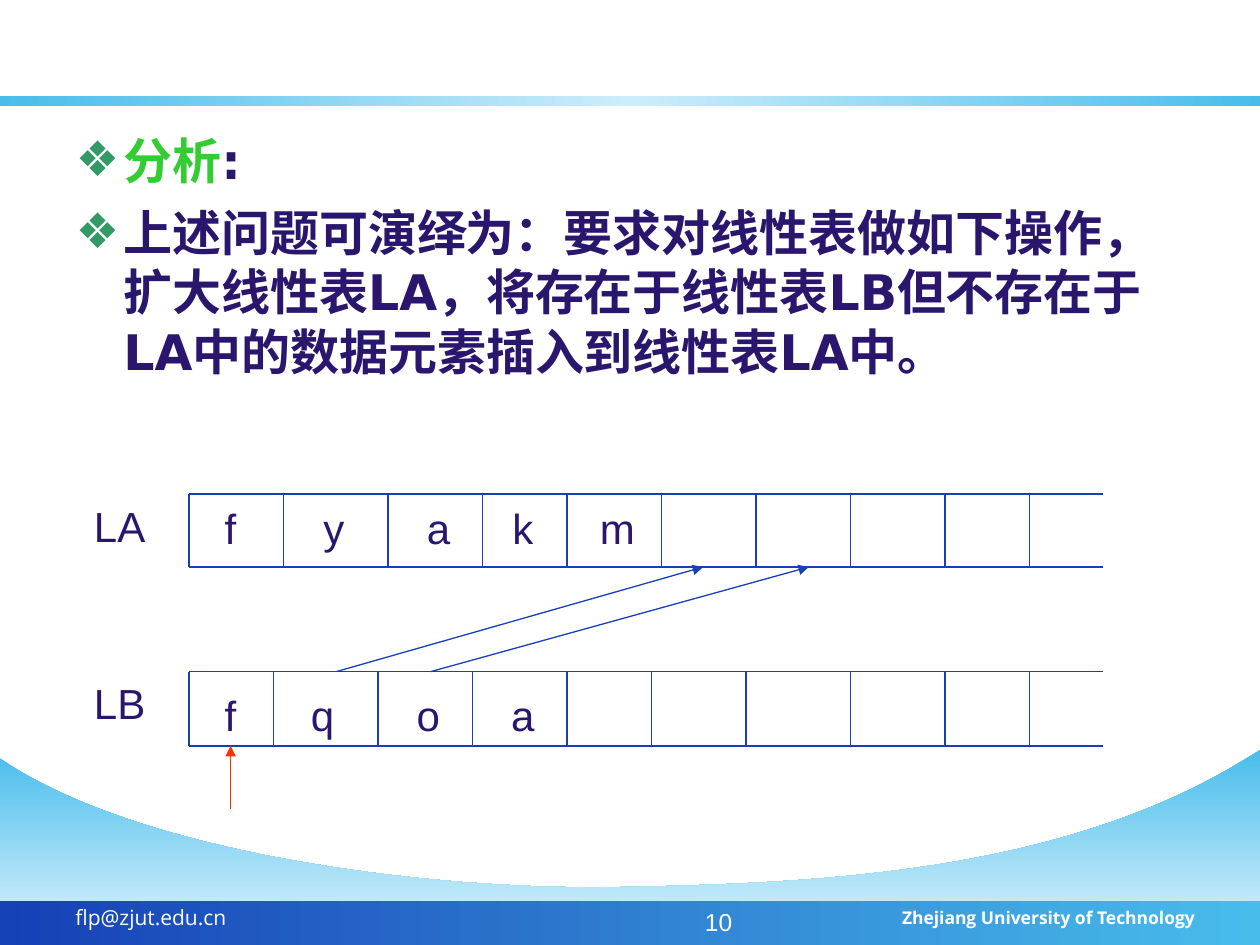
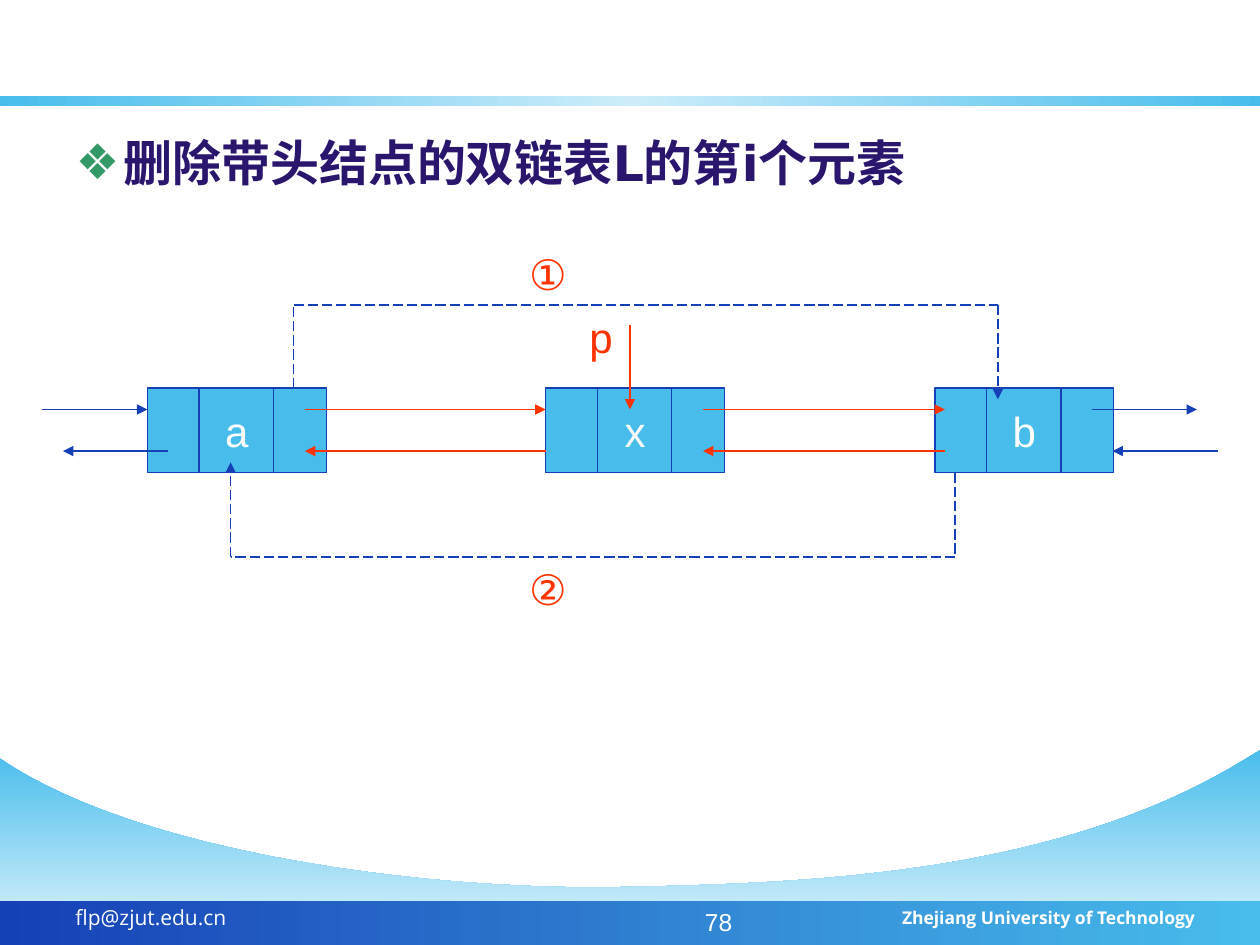
from lxml.etree import SubElement
from pptx import Presentation
from pptx.dml.color import RGBColor
from pptx.enum.dml import MSO_LINE
from pptx.enum.shapes import MSO_CONNECTOR, MSO_SHAPE
from pptx.enum.text import MSO_ANCHOR, MSO_AUTO_SIZE, PP_ALIGN as Align
from pptx.oxml.ns import qn
from pptx.util import Inches, Pt

COLORS = {
    "white": "FFFFFF", "sky": "48BDEC", "pale": "CDEDFA", "mist": "E3F5FC",
    "blue": "1640B6", "ink": "2B166E", "red": "FF3300", "green": "33CC33",
    "bullet": "339966",
}
LABEL_WIDTH, LABEL_HEIGHT = 0.9, 0.5
NODE_WIDTH, NODE_HEIGHT = 1.42, 0.67
NODE_DIVIDERS = (0.41, 1)
NEXT_ROW, PRIOR_ROW = 0.17, 0.5


def rgb(name):
    return RGBColor.from_string(COLORS[name])


def write(para, text, size=24, font="Arial", color="ink", bold=False, align=None):
    span = para.add_run()
    span.text = text
    span.font.size = Pt(size)
    span.font.name = font
    span.font.bold = bold
    span.font.color.rgb = rgb(color)
    if align is not None:
        para.alignment = align


def add_text(page, text, left, top, width, height, wrap=True, **style):
    box = page.shapes.add_textbox(*map(Inches, (left, top, width, height)))
    box.text_frame.word_wrap = wrap
    write(box.text_frame.paragraphs[0], text, **style)


def add_label(page, text, center, top, color="ink"):
    add_text(page, text, center - LABEL_WIDTH / 2, top, LABEL_WIDTH, LABEL_HEIGHT,
             wrap=False, color=color, align=Align.CENTER)


def add_line(page, start, end, color="blue", arrow=False, dashed=False):
    line = page.shapes.add_connector(
        MSO_CONNECTOR.STRAIGHT, *map(Inches, (*start, *end)))
    line.line.color.rgb = rgb(color)
    line.line.width = Pt(0.75)
    if dashed:
        line.line.dash_style = MSO_LINE.LONG_DASH
    properties = line._element.spPr
    if arrow:
        SubElement(properties.find(qn("a:ln")), qn("a:tailEnd"), type="triangle")
    SubElement(properties, qn("a:effectLst"))


def add_dashed_path(page, points):
    """Dashed legs from point to point, with an arrowhead on the last."""
    for index in range(1, len(points)):
        add_line(page, points[index - 1], points[index], dashed=True,
                 arrow=index == len(points) - 1)


def fill_gradient(shape, names, angle=0):
    shape.shadow.inherit = False
    shape.line.fill.background()
    shape.fill.gradient()
    shape.fill.gradient_angle = angle
    stops = shape._element.spPr.find(qn("a:gradFill")).find(qn("a:gsLst"))
    stops.clear()
    for index, name in enumerate(names):
        position = index * 100000 // (len(names) - 1)
        stop = SubElement(stops, qn("a:gs"), pos=str(position))
        SubElement(stop, qn("a:srgbClr"), val=COLORS[name])


def curve_points(start, first, second, end, steps=40):
    """Points on a cubic curve, without its start."""
    for step in range(1, steps + 1):
        t = step / steps
        weights = ((1 - t) ** 3, 3 * t * (1 - t) ** 2, 3 * t * t * (1 - t), t ** 3)
        yield tuple(
            sum(weight * point[axis]
                for weight, point in zip(weights, (start, first, second, end)))
            for axis in (0, 1))


def add_bar(page, top, height, names):
    bar = page.shapes.add_shape(
        MSO_SHAPE.RECTANGLE, 0, Inches(top), Inches(10), Inches(height))
    fill_gradient(bar, names)


def add_frame(page, number):
    # Wave at the foot of the page
    right, middle, left = (10, 5.95), (4.92, 7.04), (0, 6.02)
    outline = [
        right,
        *curve_points(right, (8.49, 6.95), (6.42, 7.01), middle),
        *curve_points(middle, (3.42, 7.07), (1.11, 6.78), left),
        (0, 7.5),
    ]
    builder = page.shapes.build_freeform(Inches(10), Inches(7.49))
    builder.add_line_segments([(Inches(x), Inches(y)) for x, y in outline])
    fill_gradient(builder.convert_to_shape(), ("sky", "mist"), angle=270)

    # Footer bar and header band
    add_bar(page, 7.15, 0.35, ("blue", "sky"))
    add_bar(page, 0.76, 0.08, ("sky", "pale", "sky"))

    # Footer texts
    add_text(page, "flp@zjut.edu.cn", 0.5, 7.13, 2.33, 0.35,
             size=12, font="Open Sans", color="white")
    add_text(page, "Zhejiang University of Technology", 6.5, 7.15, 3.08, 0.35,
             size=10, font="Open Sans", color="white", bold=True, align=Align.RIGHT)
    add_text(page, str(number), 3.58, 7.15, 2.33, 0.35,
             size=14, color="white", align=Align.RIGHT)


def add_bullet(para):
    properties = para._p.get_or_add_pPr()
    properties.set("marL", str(Inches(0.38)))
    properties.set("indent", str(-Inches(0.38)))
    color = SubElement(properties, qn("a:buClr"))
    SubElement(color, qn("a:srgbClr"), val=COLORS["bullet"])
    SubElement(properties, qn("a:buChar"), char="❖")


def fill_body(page, top, paragraphs):
    """Each paragraph is a list of (text, color) spans."""
    body = page.placeholders[1]
    body.left, body.top, body.width, body.height = map(Inches, (0.5, top, 9, 5.74))
    frame = body.text_frame
    frame.auto_size = MSO_AUTO_SIZE.NONE
    frame.word_wrap = True
    for index, spans in enumerate(paragraphs):
        para = frame.add_paragraph() if index else frame.paragraphs[0]
        add_bullet(para)
        para.space_before = Pt(7 if index else 0)
        para.line_spacing = Pt(34)
        for text, color in spans:
            write(para, text, size=28, font="DejaVu Sans", color=color, bold=True)


def add_page(deck, number, body_top, paragraphs):
    page = deck.slides.add_slide(deck.slide_layouts[1])
    title = page.shapes.title._element
    title.getparent().remove(title)
    add_frame(page, number)
    fill_body(page, body_top, paragraphs)
    return page


def draw_list(page, name, top, bottom, edges, items, item_top):
    """A list open on the right; items are (letter, center)."""
    for y in (top, bottom):
        add_line(page, (edges[0], y), (8.75, y))
    for x in edges:
        add_line(page, (x, top), (x, bottom))
    for letter, center in items:
        add_label(page, letter, center, item_top)
    add_label(page, name, 0.95, top)


def draw_node(page, letter, left, top):
    node = page.shapes.add_shape(
        MSO_SHAPE.RECTANGLE, *map(Inches, (left, top, NODE_WIDTH, NODE_HEIGHT)))
    node.shadow.inherit = False
    node.fill.solid()
    node.fill.fore_color.rgb = rgb("sky")
    node.line.color.rgb = rgb("blue")
    node.line.width = Pt(0.75)
    node.text_frame.word_wrap = False
    node.text_frame.vertical_anchor = MSO_ANCHOR.MIDDLE
    write(node.text_frame.paragraphs[0], letter, color="white", align=Align.CENTER)
    for offset in NODE_DIVIDERS:
        x = left + offset
        add_line(page, (x, top), (x, top + NODE_HEIGHT))


def draw_links(page, top, next_span, prior_span, color):
    """A right arrow on the upper row and a left arrow on the lower one."""
    upper, lower = top + NEXT_ROW, top + PRIOR_ROW
    add_line(page, (next_span[0], upper), (next_span[1], upper), color, arrow=True)
    add_line(page, (prior_span[1], lower), (prior_span[0], lower), color, arrow=True)


def build_union_page(deck):
    page = add_page(deck, 10, 0.98, [
        [("分析", "green"), (":", "ink")],
        [("上述问题可演绎为：要求对线性表做如下操作，扩大线性表LA，"
          "将存在于线性表LB但不存在于LA中的数据元素插入到线性表LA中。", "ink")],
    ])
    # The two lists
    draw_list(page, "LA", 3.92, 4.5,
              (1.5, 2.25, 3.08, 3.83, 4.5, 5.25, 6, 6.75, 7.5, 8.17),
              zip("fyakm", (1.83, 2.65, 3.48, 4.15, 4.9)), 3.94)
    draw_list(page, "LB", 5.33, 5.92,
              (1.5, 2.17, 3, 3.75, 4.5, 5.17, 5.92, 6.75, 7.5, 8.17),
              zip("fqoa", (1.83, 2.56, 3.4, 4.15)), 5.42)
    # Current element and copied elements
    add_line(page, (1.83, 6.42), (1.83, 5.92), "red", arrow=True)
    for source, target in ((2.67, 5.58), (3.42, 6.42)):
        add_line(page, (source, 5.33), (target, 4.5), arrow=True)


def build_delete_page(deck):
    page = add_page(deck, 78, 1, [[("删除带头结点的双链表L的第i个元素", "ink")]])
    top = 3.08
    bottom = top + NODE_HEIGHT
    # Nodes
    for letter, left in (("a", 1.17), ("b", 7.42), ("x", 4.33)):
        draw_node(page, letter, left, top)
    # Links between nodes, then links to the rest of the list
    for span in ((2.42, 4.33), (5.58, 7.5)):
        draw_links(page, top, span, span, "red")
    draw_links(page, top, (0.33, 1.17), (0.5, 1.33), "blue")
    draw_links(page, top, (8.67, 9.5), (8.83, 9.67), "blue")
    # Pointer to the deleted node
    add_line(page, (5, 2.58), (5, 3.25), "red", arrow=True)
    add_label(page, "p", 4.77, 2.42, "red")
    # New links around it
    add_dashed_path(page, [(2.33, top), (2.33, 2.42), (7.92, 2.42), (7.92, 3.17)])
    add_dashed_path(page, [(7.58, bottom), (7.58, 4.42), (1.83, 4.42), (1.83, 3.67)])
    add_label(page, "①", 4.35, 1.92, "red")
    add_label(page, "②", 4.35, 4.42, "red")


def main():
    deck = Presentation()
    deck.slide_width, deck.slide_height = Inches(10), Inches(7.5)
    build_union_page(deck)
    build_delete_page(deck)
    deck.save("out.pptx")


if __name__ == "__main__":
    main()
